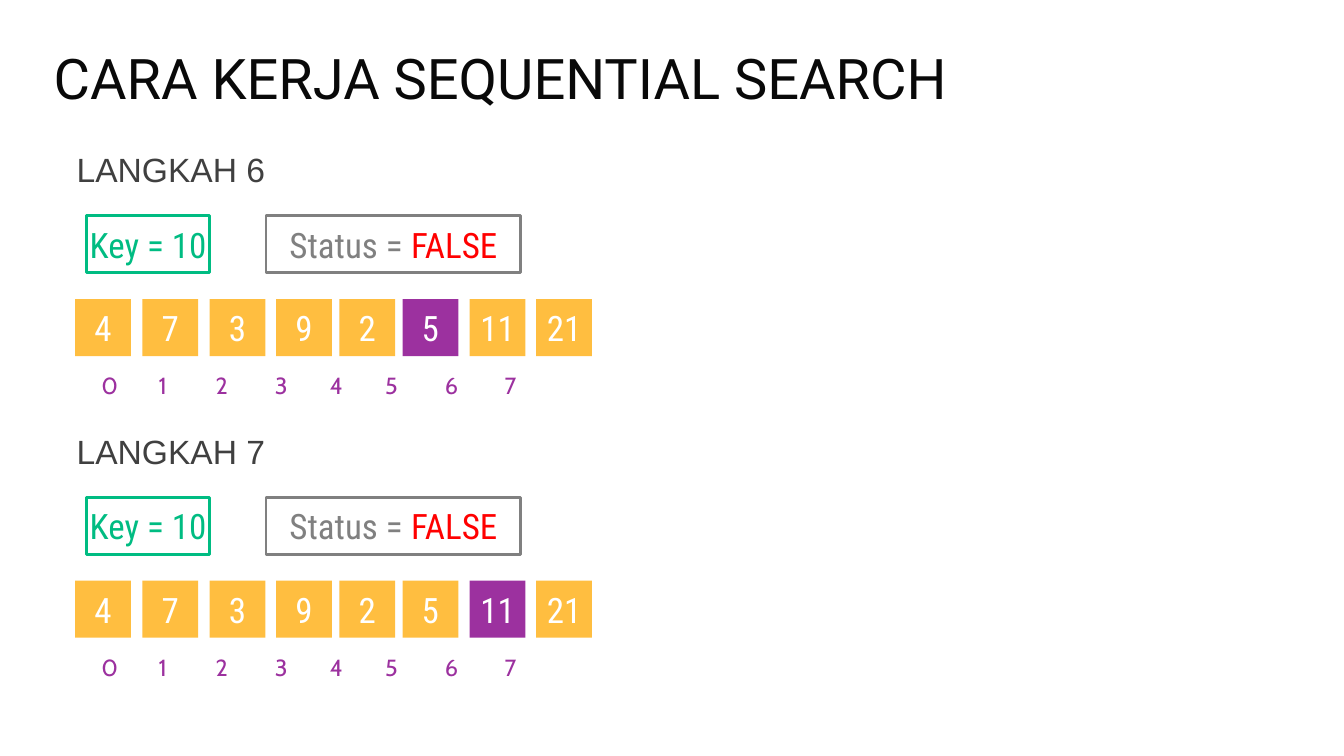
from typing import NamedTuple

from lxml import etree
from pptx import Presentation
from pptx.dml import color
from pptx.enum import shapes, text
from pptx.oxml import ns
from pptx.util import Inches, Pt

GREEN, GREY, RED = "00BC82", "808080", "FF0000"
ORANGE, PURPLE, WHITE = "FFBE40", "9C319F", "FFFFFF"

VALUES = (4, 7, 3, 9, 2, 5, 11, 21)
CELL_LEFTS = (1.12, 2.12, 3.12, 4.11, 5.05, 5.99, 6.99, 7.98)
INDEX_TABS = (0.85, 1.7, 2.58, 3.4, 4.22, 5.11, 6)
FRAME_LINE = 0.04


class Box(NamedTuple):
    left: float
    top: float
    width: float
    height: float


class Style(NamedTuple):
    font: str
    size: float
    spacing: float


class Words(NamedTuple):
    wording: str
    color: str


class Step(NamedTuple):
    number: int
    top: float
    checked: int


TITLE = Style("Roboto", 60, 72)
HEADING = Style("Arial", 36, 51.9)
VALUE = Style("Roboto Condensed", 37.5, 45)
INDEX = Style("Cabin", 25, 35)

STEPS = (Step(6, 2.1, 5), Step(7, 6.29, 6))


def rgb(value: str) -> color.RGBColor:
    return color.RGBColor.from_string(value)


def inches(box: Box) -> list:
    return [Inches(length) for length in box]


def write(frame, style: Style, *parts: Words, margin: float = 0):
    """Fill a text frame with one paragraph and return the paragraph."""
    frame.margin_left = frame.margin_right = Inches(margin)
    frame.margin_top = frame.margin_bottom = Inches(margin)
    paragraph = frame.paragraphs[0]
    paragraph.line_spacing = Pt(style.spacing)
    for part in parts:
        run = paragraph.add_run()
        run.text = part.wording
        run.font.name = style.font
        run.font.size = Pt(style.size)
        run.font.color.rgb = rgb(part.color)
    return paragraph


def add_label(slide, box: Box, style: Style, words: Words, tabs: tuple = ()) -> None:
    frame = slide.shapes.add_textbox(*inches(box)).text_frame
    frame.word_wrap = True
    paragraph = write(frame, style, words)
    if tabs:
        properties = paragraph._p.get_or_add_pPr()
        tab_list = etree.SubElement(properties, ns.qn("a:tabLst"))
        for position in tabs:
            etree.SubElement(tab_list, ns.qn("a:tab"),
                             pos=str(Inches(position)), algn="l")


def add_rectangle(slide, box: Box, *parts: Words):
    """Add a rectangle with centred value text; fill and line are left to the caller."""
    rectangle = slide.shapes.add_shape(shapes.MSO_SHAPE.RECTANGLE, *inches(box))
    rectangle.shadow.inherit = False
    frame = rectangle.text_frame
    frame.word_wrap = False
    frame.vertical_anchor = text.MSO_ANCHOR.MIDDLE
    write(frame, VALUE, *parts, margin=0.06).alignment = text.PP_ALIGN.CENTER
    return rectangle


def add_cell(slide, box: Box, value: int, fill: str) -> None:
    cell = add_rectangle(slide, box, Words(str(value), WHITE))
    cell.fill.solid()
    cell.fill.fore_color.rgb = rgb(fill)
    cell.line.fill.background()


def add_frame(slide, box: Box, *parts: Words) -> None:
    """Add an outlined rectangle whose line lies inside the box."""
    inner = Box(box.left + FRAME_LINE / 2, box.top + FRAME_LINE / 2,
                box.width - FRAME_LINE, box.height - FRAME_LINE)
    outline = add_rectangle(slide, inner, *parts)
    outline.fill.background()
    outline.line.color.rgb = rgb(parts[0].color)
    outline.line.width = Inches(FRAME_LINE)


def add_step(slide, step: Step) -> None:
    add_label(slide, Box(1.14, step.top, 3.38, 0.71), HEADING,
              Words(f"LANGKAH {step.number}", "404040"))
    for index, (left, value) in enumerate(zip(CELL_LEFTS, VALUES)):
        fill = PURPLE if index == step.checked else ORANGE
        add_cell(slide, Box(left, step.top + 2.35, 0.83, 0.85), value, fill)
    add_frame(slide, Box(3.94, step.top + 1.09, 3.83, 0.89),
              Words("Status = ", GREY), Words("FALSE", RED))
    indexes = "\t".join(str(index) for index in range(len(VALUES)))
    add_label(slide, Box(1.51, step.top + 3.36, 7.09, 0.47), INDEX,
              Words(indexes, PURPLE), INDEX_TABS)
    add_frame(slide, Box(1.27, step.top + 1.09, 1.87, 0.89),
              Words("Key = 10", GREEN))


def main() -> None:
    presentation = Presentation()
    presentation.slide_width = Inches(20)
    presentation.slide_height = Inches(11.25)
    slide = presentation.slides.add_slide(presentation.slide_layouts[6])
    add_label(slide, Box(0.8, 0.64, 16.74, 1.02), TITLE,
              Words("CARA KERJA SEQUENTIAL SEARCH", "090909"))
    for step in STEPS:
        add_step(slide, step)
    presentation.save("out.pptx")


if __name__ == "__main__":
    main()
